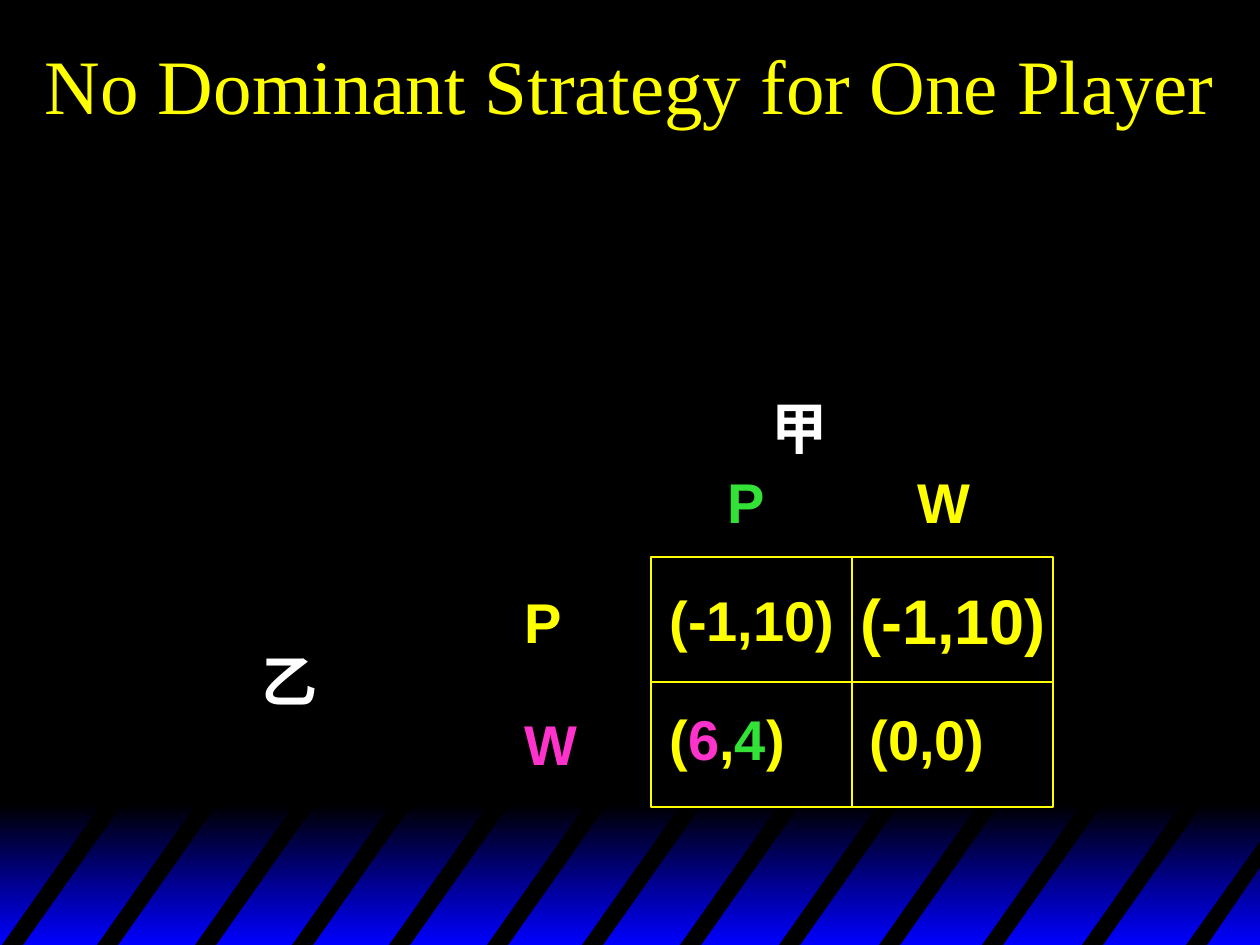
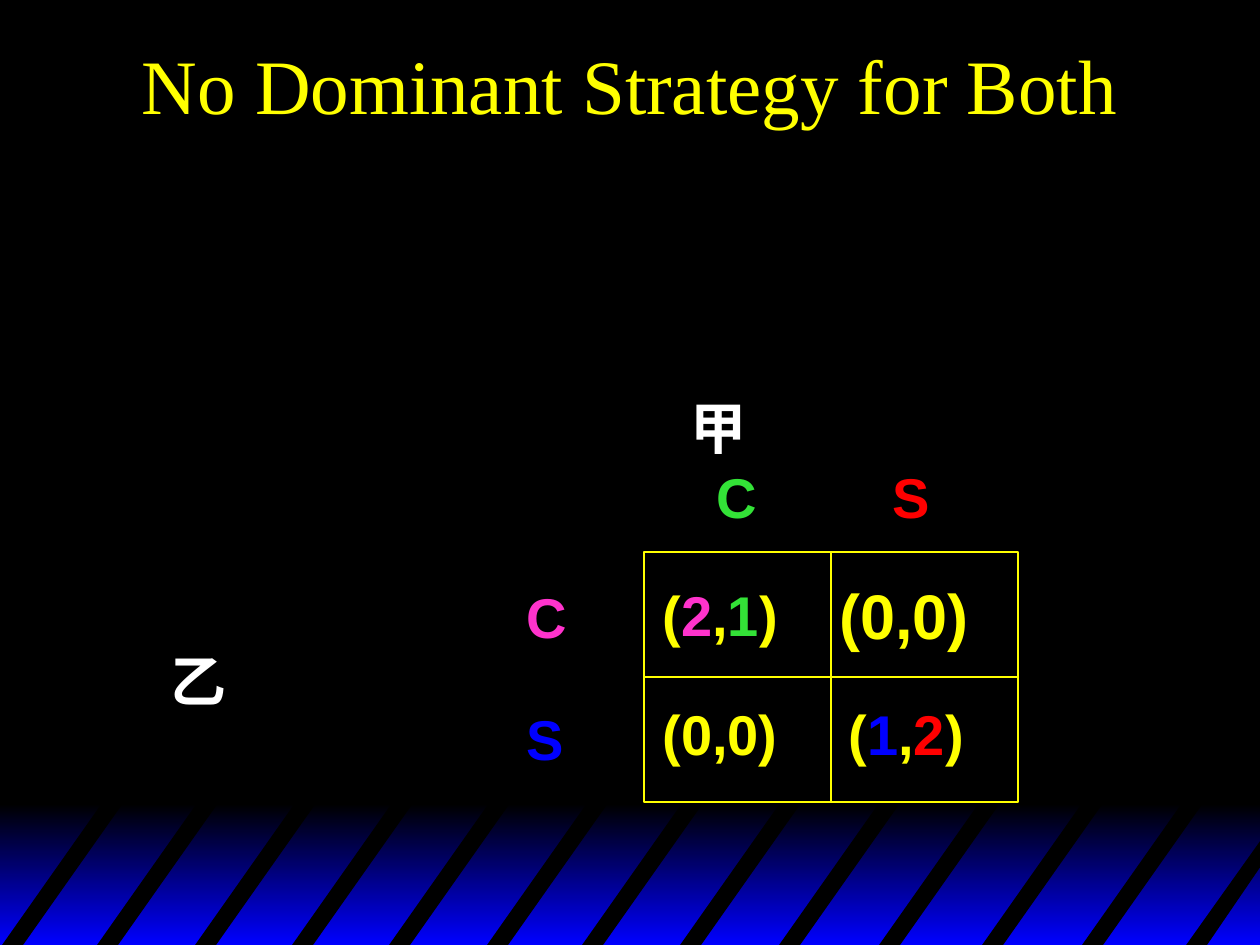
from pptx import Presentation
from pptx.dml.color import RGBColor
from pptx.enum.shapes import MSO_CONNECTOR, MSO_SHAPE
from pptx.enum.text import MSO_ANCHOR, MSO_AUTO_SIZE, PP_ALIGN
from pptx.oxml.ns import qn
from pptx.util import Pt
from lxml.etree import SubElement

PX = 914400 / 126
WIDTH, HEIGHT = 1260, 945
BLACK, BLUE, WHITE, YELLOW = "000000", "0000FF", "FFFFFF", "FFFF00"
GREEN, PINK, RED = "33E237", "FF33CC", "FF0000"
TITLE_FONT, GAME_FONT = "Times New Roman", "Arial"

STRIPE_LEFTS = [0, 95, 193, 290, 387, 485, 580, 678, 777, 877, 980, 1080]
STRIPE_WIDTH, STRIPE_SLANT, STRIPE_HEIGHT = 21, 105, 149
LAST_STRIPE = [(1184, 149), (1263, 38), (1263, 64), (1205, 149)]

LETTER_WIDTHS = {"(": 0.33, ")": 0.33, "-": 0.33, ",": 0.28, "P": 0.67,
                 "S": 0.67, "C": 0.72, "W": 0.94, "甲": 1, "乙": 1}
DIGIT_WIDTH = 0.56

GAMES = [
    dict(
        title="No Dominant Strategy for One Player",
        grid=(651, 557, 402, 250),
        players=[("甲", 759, 387), ("乙", 249, 640)],
        columns=[("P", GREEN), ("W", YELLOW)],
        column_left=(64, 254),
        rows=[("P", YELLOW), ("W", PINK)],
        row_left=-139,
        payoffs=[
            [[("(-1,10)", YELLOW)], [("(-1,10)", YELLOW)]],
            [[("(", YELLOW), ("6", PINK), (",", YELLOW), ("4", GREEN), (")", YELLOW)],
             [("(0,0)", YELLOW)]],
        ],
    ),
    dict(
        title="No Dominant Strategy for Both",
        grid=(644, 552, 374, 250),
        players=[("甲", 678, 387), ("乙", 158, 640)],
        columns=[("C", GREEN), ("S", RED)],
        column_left=(60, 236),
        rows=[("C", PINK), ("S", BLUE)],
        row_left=-130,
        payoffs=[
            [[("(", YELLOW), ("2", PINK), (",", YELLOW), ("1", GREEN), (")", YELLOW)],
             [("(0,0)", YELLOW)]],
            [[("(0,0)", YELLOW)],
             [("(", YELLOW), ("1", BLUE), (",", YELLOW), ("2", RED), (")", YELLOW)]],
        ],
    ),
]


def emu(*lengths):
    return [round(length * PX) for length in lengths]


def colour(value):
    return RGBColor.from_string(value)


def add_text(page, spans, box, *, size, font, bold=False, wrap=False,
             align=PP_ALIGN.LEFT, anchor=MSO_ANCHOR.TOP):
    frame = page.shapes.add_textbox(*emu(*box)).text_frame
    frame.word_wrap = wrap
    frame.auto_size = MSO_AUTO_SIZE.NONE if wrap else MSO_AUTO_SIZE.SHAPE_TO_FIT_TEXT
    frame.vertical_anchor = anchor
    para = frame.paragraphs[0]
    para.alignment = align
    for text, text_colour in spans:
        span = para.add_run()
        span.text = text
        span.font.size = Pt(size)
        span.font.name = font
        span.font.bold = bold
        span.font.color.rgb = colour(text_colour)


def add_label(page, spans, left, top, size=32):
    letters = "".join(text for text, _ in spans)
    ems = sum(LETTER_WIDTHS.get(letter, DIGIT_WIDTH) for letter in letters)
    width = round(28 + ems * size * 126 / 72)
    add_text(page, spans, (left, top, width, round(size * 2.46)),
             size=size, font=GAME_FONT, bold=True)


def add_stripe(page, points):
    outline = page.shapes.build_freeform(*points[0], scale=PX)
    outline.add_line_segments(points[1:], close=True)
    stripe = outline.convert_to_shape()
    stripe.shadow.inherit = False
    stripe.fill.solid()
    stripe.fill.fore_color.rgb = colour(BLACK)
    stripe.line.fill.background()


def add_footer_band(page, top):
    band = page.shapes.add_shape(MSO_SHAPE.RECTANGLE, *emu(0, top + 5, 1263, 141))
    band.shadow.inherit = False
    band.line.fill.background()
    band.fill.gradient()
    band.fill.gradient_angle = 270
    for stop, position, value in zip(band.fill.gradient_stops, (0, 1), (BLACK, BLUE)):
        stop.position = position
        stop.color.rgb = colour(value)
    bottom = top + STRIPE_HEIGHT
    for left in STRIPE_LEFTS:
        upper = left + STRIPE_SLANT
        add_stripe(page, [(left, bottom), (upper, top),
                          (upper + STRIPE_WIDTH, top), (left + STRIPE_WIDTH, bottom)])
    add_stripe(page, [(x, top + y) for x, y in LAST_STRIPE])


def add_divider(page, frame, start, end, sides):
    divider = page.shapes.add_connector(MSO_CONNECTOR.STRAIGHT, *emu(*start, *end))
    divider.begin_connect(frame, sides[0])
    divider.end_connect(frame, sides[1])
    divider.line.color.rgb = colour(YELLOW)
    divider.line.width = Pt(1)
    SubElement(divider._element.spPr, qn("a:effectLst"))


def add_grid(page, box):
    left, top, width, height = box
    middle, centre = left + width / 2, top + height / 2
    frame = page.shapes.add_shape(MSO_SHAPE.RECTANGLE, *emu(*box))
    frame.shadow.inherit = False
    frame.fill.background()
    frame.line.color.rgb = colour(YELLOW)
    frame.line.width = Pt(1)
    add_divider(page, frame, (middle, top), (middle, top + height), (0, 2))
    add_divider(page, frame, (left, centre), (left + width, centre), (1, 3))


def add_payoff_matrix(page, game):
    left, top, width, _ = game["grid"]
    for column, offset in zip(game["columns"], game["column_left"]):
        add_label(page, [column], left + offset, top - 96)
    for index, row in enumerate(game["rows"]):
        add_label(page, [row], left + game["row_left"], top + 24 + 122 * index)
    for index, (first, second) in enumerate(game["payoffs"]):
        cell_top = top + 22 + 119 * index
        add_label(page, first, left + 6, cell_top)
        if index == 0:
            add_label(page, second, left + width / 2 - 4, cell_top - 4, size=36)
        else:
            add_label(page, second, left + width / 2 + 5, cell_top)
    add_grid(page, game["grid"])


def add_game_slide(deck, game):
    page = deck.slides.add_slide(deck.slide_layouts[6])
    page.background.fill.solid()
    page.background.fill.fore_color.rgb = colour(BLACK)
    add_footer_band(page, 799)
    add_text(page, [(game["title"], YELLOW)], (0, 0, WIDTH, 168), size=44,
             font=TITLE_FONT, wrap=True, align=PP_ALIGN.CENTER, anchor=MSO_ANCHOR.MIDDLE)
    for name, left, top in game["players"]:
        add_label(page, [(name, WHITE)], left, top)
    add_payoff_matrix(page, game)


def main():
    deck = Presentation()
    deck.slide_width, deck.slide_height = emu(WIDTH, HEIGHT)
    for game in GAMES:
        add_game_slide(deck, game)
    deck.save("out.pptx")


if __name__ == "__main__":
    main()
